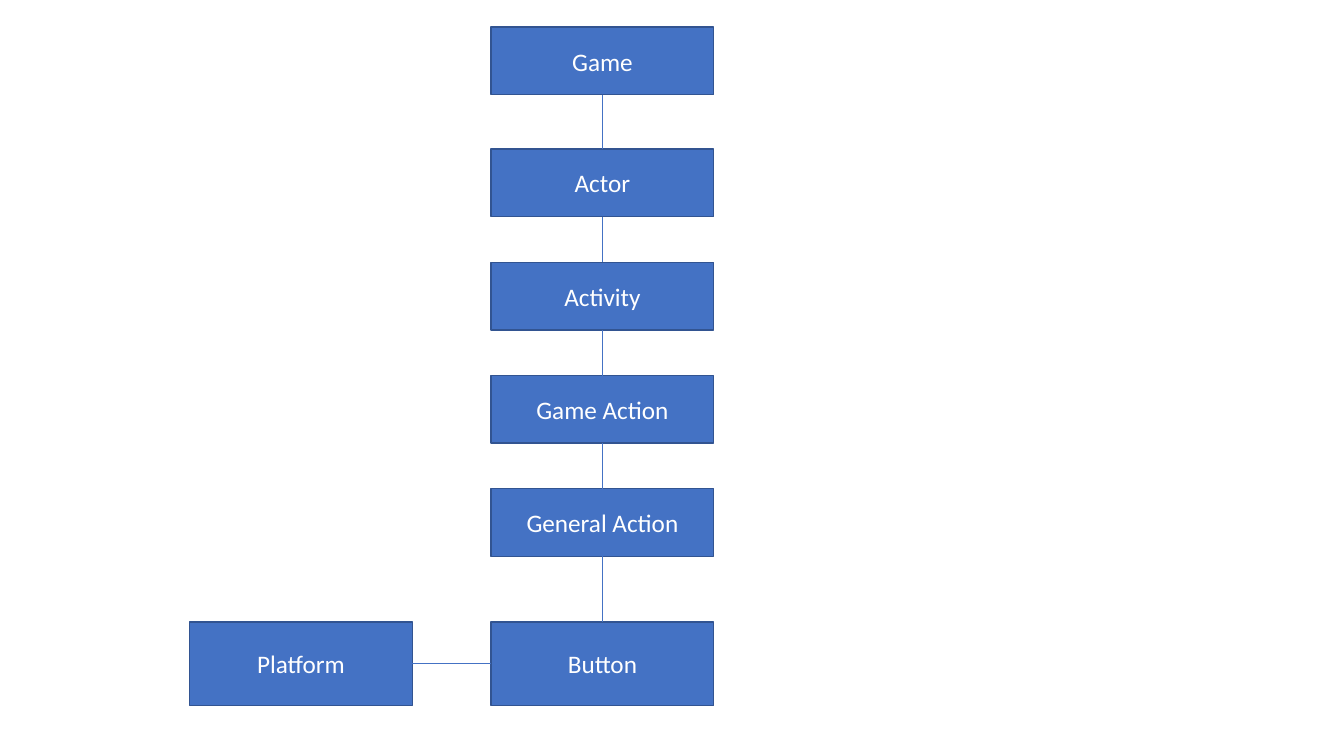
from dataclasses import dataclass

from lxml.etree import SubElement
from pptx import Presentation
from pptx.dml.color import RGBColor
from pptx.enum.shapes import MSO_CONNECTOR as Link, MSO_SHAPE as Form
from pptx.enum.text import MSO_ANCHOR as Anchor, PP_ALIGN as Align
from pptx.oxml.ns import qn
from pptx.shapes.autoshape import Shape
from pptx.shapes.shapetree import SlideShapes as Shapes
from pptx.util import Inches, Pt

BLUE = RGBColor(0x44, 0x72, 0xC4)
NAVY = RGBColor(0x32, 0x54, 0x91)
WHITE = RGBColor(0xFF, 0xFF, 0xFF)

# Grid in inches: two columns, and six rows of which the inner four are even
LEFT, PITCH, WIDTH = 1.88, 2.99, 2.21
ROWS = [0.27, *(1.48 + 1.123 * step for step in range(4)), 6.17]
HIGH, TALL = 0.67, 0.83
LAST = len(ROWS) - 1

# Connection sites of a rectangle
TOP, WEST, BASE, EAST = range(4)

FONT = {"name": "Calibri", "size": Pt(18)}
FRAME = {"word_wrap": True, "vertical_anchor": Anchor.MIDDLE}


@dataclass(frozen=True)
class Box:
    text: str
    col: int
    row: int


CHAIN = [
    Box(text, 1, row)
    for row, text in enumerate(
        ["Game", "Actor", "Activity", "Game Action", "General Action", "Button"]
    )
]
SIDE = Box("Platform", 0, LAST)


def format_all(item: object, values: dict) -> None:
    for name, value in values.items():
        setattr(item, name, value)


def draw_box(shapes: Shapes, box: Box) -> Shape:
    shape = shapes.add_shape(
        Form.RECTANGLE,
        Inches(LEFT + PITCH * box.col),
        Inches(ROWS[box.row]),
        Inches(WIDTH),
        Inches(TALL if box.row == LAST else HIGH),
    )
    shape.shadow.inherit = False
    shape.fill.solid()
    shape.fill.fore_color.rgb = BLUE
    shape.line.color.rgb = NAVY
    shape.line.width = Pt(1)
    format_all(shape.text_frame, FRAME)
    para = shape.text_frame.paragraphs[0]
    para.alignment = Align.CENTER
    run = para.add_run()
    run.text = box.text
    format_all(run.font, FONT)
    run.font.color.rgb = WHITE
    return shape


def join(shapes: Shapes, start: Shape, out: int, end: Shape, into: int) -> None:
    """Glue a thin line from site `out` of start to site `into` of end."""
    line = shapes.add_connector(Link.STRAIGHT, 0, 0, 0, 0)
    line.begin_connect(start, out)
    line.end_connect(end, into)
    line.line.color.rgb = BLUE
    line.line.width = Pt(0.5)
    SubElement(line._element.spPr, qn("a:effectLst"))


def main() -> None:
    deck = Presentation()
    deck.slide_width, deck.slide_height = Inches(13.33), Inches(7.5)
    shapes = deck.slides.add_slide(deck.slide_layouts[6]).shapes

    chain = [draw_box(shapes, box) for box in CHAIN]
    side = draw_box(shapes, SIDE)
    for upper, lower in zip(chain, chain[1:]):
        join(shapes, upper, BASE, lower, TOP)
    join(shapes, side, EAST, chain[-1], WEST)

    deck.save("out.pptx")


if __name__ == "__main__":
    main()
